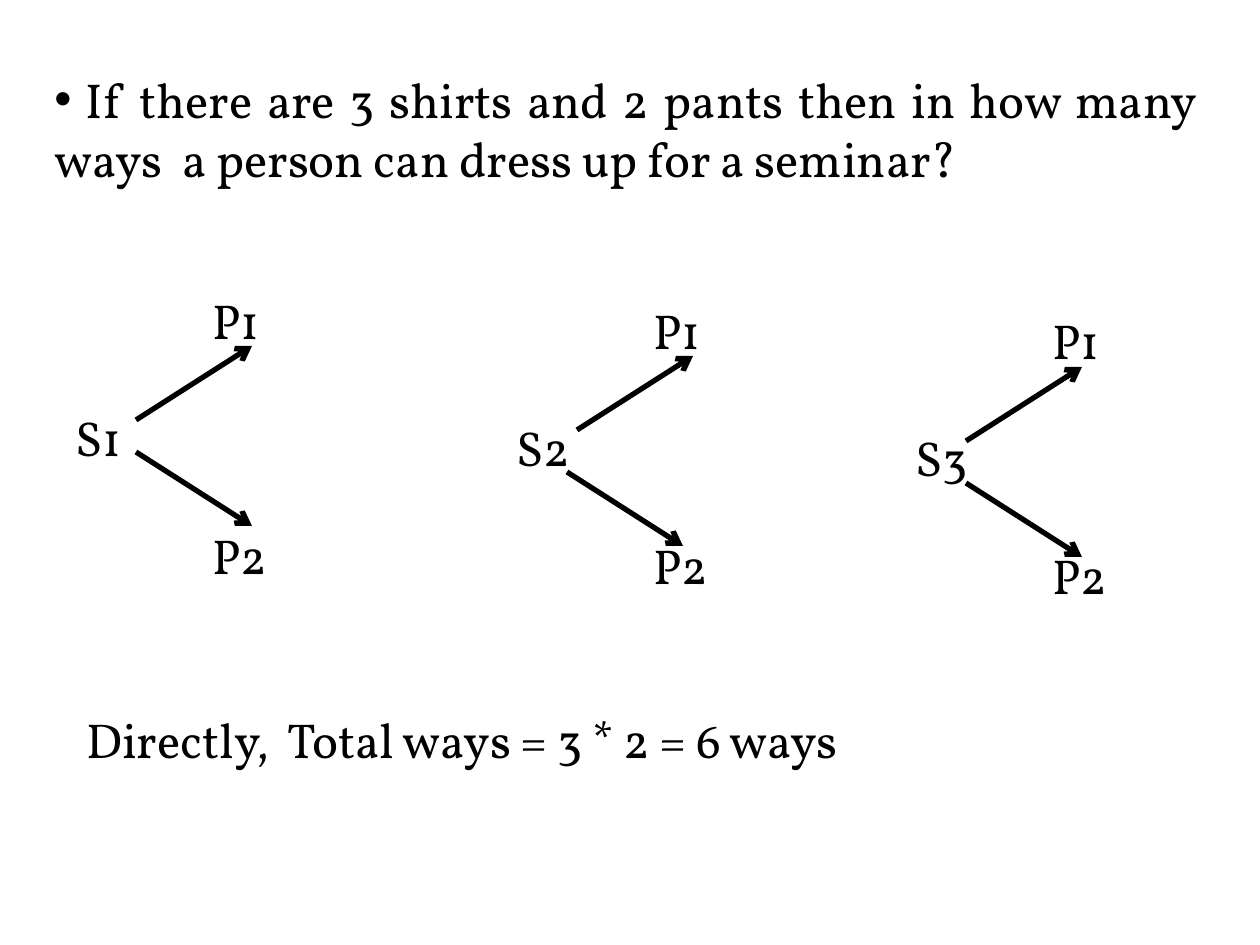
from dataclasses import dataclass

from lxml import etree
from pptx import Presentation
from pptx.dml.color import RGBColor
from pptx.enum.shapes import MSO_CONNECTOR
from pptx.enum.text import MSO_AUTO_SIZE, PP_ALIGN
from pptx.oxml.ns import qn
from pptx.util import Emu, Pt

STRAIGHT = MSO_CONNECTOR.STRAIGHT
LEFT, JUSTIFY = PP_ALIGN.LEFT, PP_ALIGN.JUSTIFY
FIT = MSO_AUTO_SIZE.SHAPE_TO_FIT_TEXT


@dataclass(frozen=True)
class Theme:
    ink: RGBColor = RGBColor(0, 0, 0)
    font: str = "Vollkorn"
    size: Pt = Pt(28)
    line: Pt = Pt(3)
    gap: Pt = Pt(33.6)


THEME = Theme()

# Shirt, text box (left, top, width), start of upper arrow, start of lower arrow
TREES = [
    ("S1", (63, 284, 336), (136, 420), (136, 452)),
    ("S2", (504, 294, 305), (577, 430), (567, 472)),
    ("S3", (903, 304, 305), (966, 441), (966, 483)),
]
TREE_H = 310
INDENT = 137
RUN, RISE = 116, 74


def px(n):
    return Emu(round(n * 914400 / 126))


def style(item, form):
    for key, value in form.items():
        setattr(item, key, value)


def add_text(slide, box, lines, align=LEFT):
    """Add a text box and return its paragraphs."""
    frame = slide.shapes.add_textbox(*map(px, box)).text_frame
    style(frame, {"word_wrap": True, "auto_size": FIT})
    frame.text = "\n".join(lines)
    for para in frame.paragraphs:
        para.alignment = align
        for run in para.runs:
            style(run.font, {"name": THEME.font, "size": THEME.size})
            run.font.color.rgb = THEME.ink
    return frame.paragraphs


def add_bullet(para):
    props = para._p.get_or_add_pPr()
    etree.SubElement(props, qn("a:buFont"), typeface="Arial")
    etree.SubElement(props, qn("a:buChar"), char="•")


def add_arrow(slide, start, rise):
    x, y = start
    ends = (x, y, x + RUN, y + rise)
    arrow = slide.shapes.add_connector(STRAIGHT, *map(px, ends))
    arrow.line.width = THEME.line
    arrow.line.color.rgb = THEME.ink
    etree.SubElement(arrow.line._get_or_add_ln(), qn("a:tailEnd"), type="arrow")
    etree.SubElement(arrow._element.spPr, qn("a:effectLst"))


def add_tree(slide, shirt, box, upper, lower):
    """Add one shirt with an arrow to each of the two pants."""
    paras = add_text(slide, (*box, TREE_H), ["P1", shirt, "P2"])
    for para in paras[1:]:
        para.space_before = THEME.gap
    for para in paras[::2]:
        para._p.get_or_add_pPr().set("marL", str(px(INDENT)))
    add_arrow(slide, upper, -RISE)
    add_arrow(slide, lower, RISE)


def main():
    deck = Presentation()
    style(deck, {"slide_width": px(1260), "slide_height": px(945)})
    slide = deck.slides.add_slide(deck.slide_layouts[6])

    # Question
    question = (" If there are 3 shirts and 2 pants then in how many ways  "
                "a person can dress up for a seminar?")
    add_bullet(add_text(slide, (42, 63, 1166, 131), [question], JUSTIFY)[0])

    # Choices for each shirt
    for tree in TREES:
        add_tree(slide, *tree)

    # Answer
    add_text(slide, (74, 703, 1081, 72),
             ["Directly,  Total ways = 3 * 2 = 6 ways"])

    deck.save("out.pptx")


if __name__ == "__main__":
    main()
